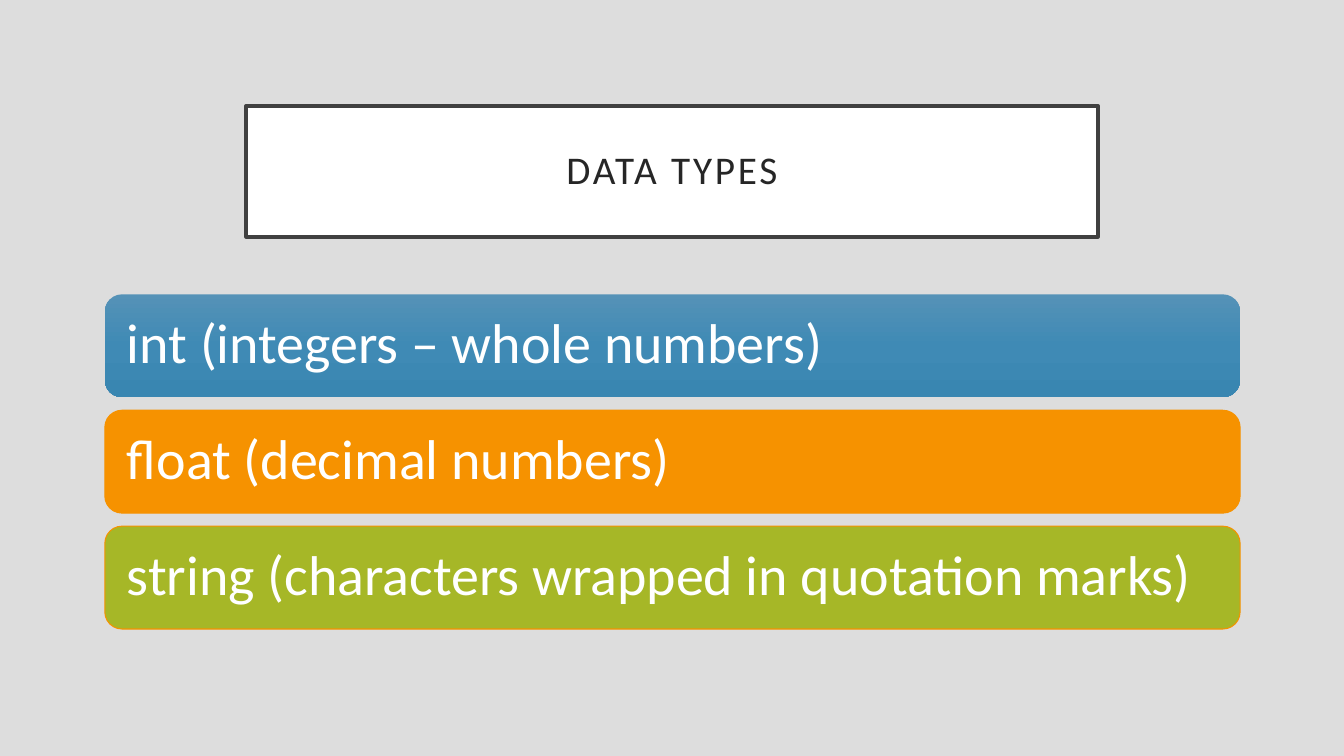
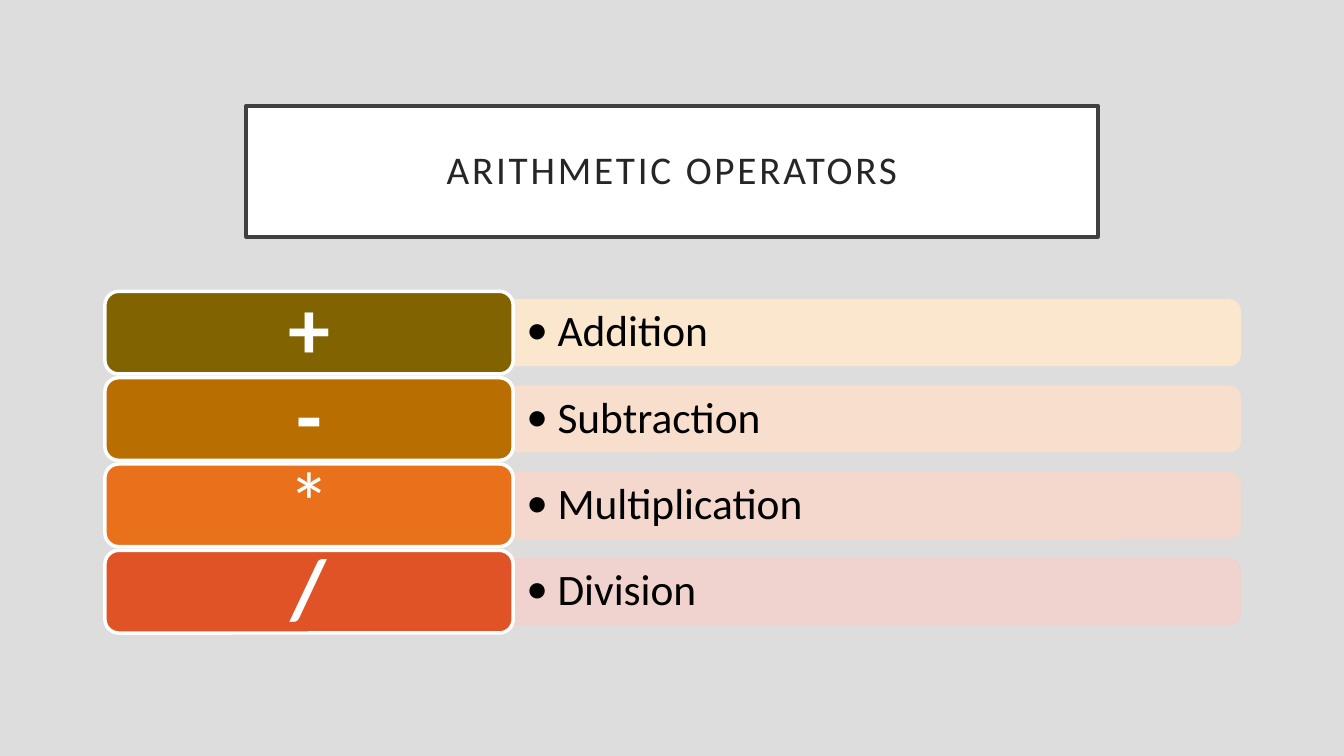
"""Build two slides on data types and arithmetic operators."""
from copy import deepcopy

from lxml.etree import SubElement
from pptx import Presentation
from pptx.dml.color import RGBColor
from pptx.enum.shapes import MSO_SHAPE
from pptx.enum.text import MSO_ANCHOR, PP_ALIGN
from pptx.oxml.ns import qn
from pptx.util import Inches, Pt

COLORS = {
    "background": "DDDDDD", "white": "FFFFFF", "black": "000000",
    "border": "404040", "title": "262626", "orange": "F69200", "green": "A6B727",
}
BLUES = [(0, "5592B7"), (0.5, "3F8AB5"), (1, "3986B1")]
TYPES = [
    ("int (integers – whole numbers)", None),
    ("float (decimal numbers)", "orange"),
    ("string (characters wrapped in quotation marks)", "green"),
]
OPERATORS = [
    ("+", "Addition", "816301", "FFE9CC", True),
    ("-", "Subtraction", "B86E00", "FBE0CC", True),
    ("*", "Multiplication", "E9711C", "F7D7CC", False),
    ("/", "Division", "DF5327", "F3D1CD", True),
]
LEFT, WIDTH = 1.04, 11.26


def add_box(s, kind, at, fill=None, line=None, weight=1):
    sp = s.shapes.add_shape(kind, *[Inches(v) for v in at])
    sp.shadow.inherit = False
    if fill:
        sp.fill.solid()
        sp.fill.fore_color.rgb = RGBColor.from_string(fill)
    if line:
        sp.line.color.rgb = RGBColor.from_string(line)
        sp.line.width = Pt(weight)
    else:
        sp.line.fill.background()
    return sp


def put_text(sp, text, size, color, insets, align=PP_ALIGN.LEFT, bold=False):
    tf = sp.text_frame
    x, y = [Inches(v) for v in insets]
    frame = {"word_wrap": True, "vertical_anchor": MSO_ANCHOR.MIDDLE, "margin_left": x,
             "margin_right": x, "margin_top": y, "margin_bottom": y}
    for name, value in frame.items():
        setattr(tf, name, value)
    p = tf.paragraphs[0]
    p.alignment, p.line_spacing = align, 0.9
    r = p.add_run()
    r.text = text
    for name, value in {"name": "Calibri", "size": Pt(size), "bold": bold}.items():
        setattr(r.font, name, value)
    r.font.color.rgb = RGBColor.from_string(COLORS[color])
    return p


prs = Presentation()
prs.slide_width, prs.slide_height = Inches(13.33), Inches(7.5)
bg = prs.slide_master.background.fill
bg.solid()
bg.fore_color.rgb = RGBColor.from_string(COLORS["background"])

slides = []
for title in ("DATA TYPES", "ARITHMETIC OPERATORS"):
    s = prs.slides.add_slide(prs.slide_layouts[6])
    sp = add_box(s, MSO_SHAPE.RECTANGLE, (2.44, 1.05, 8.45, 1.3),
                 COLORS["white"], COLORS["border"], 2.5)
    p = put_text(sp, title, 28, "title", (0.2, 0.2), PP_ALIGN.CENTER)
    p.runs[0].font._element.set("spc", "200")
    slides.append(s)
types_slide, operators_slide = slides

for i, (text, color) in enumerate(TYPES):
    at = (LEFT, 2.92 + 1.15 * i, WIDTH, 1.02)
    if color:
        sp = add_box(types_slide, MSO_SHAPE.ROUNDED_RECTANGLE, at,
                     COLORS[color], COLORS["orange"], 0.75)
    else:
        sp = add_box(types_slide, MSO_SHAPE.ROUNDED_RECTANGLE, at)
        sp.fill.gradient()
        sp.fill.gradient_angle = 270
        stops = sp._element.spPr.find(".//" + qn("a:gsLst"))
        stops.insert(1, deepcopy(stops[0]))
        for stop, (position, blue) in zip(sp.fill.gradient_stops, BLUES):
            stop.position = position
            stop.color.rgb = RGBColor.from_string(blue)
    put_text(sp, text, 40, "white", (0.17, 0.17))

KEY_W, KEY_H, BAR_H, LABEL_H = 4.05, 0.82, 0.65, 0.59
TOP, PITCH = 2.89, 2.57 / 3
BAR_LEFT, BAR_W = LEFT + KEY_W, WIDTH - KEY_W

for i, (symbol, name, dark, pale, bold) in enumerate(OPERATORS):
    top = TOP + PITCH * i
    middle = top + KEY_H / 2
    bar = add_box(operators_slide, MSO_SHAPE.ROUND_2_SAME_RECTANGLE,
                  (BAR_LEFT + (BAR_W - BAR_H) / 2, middle - BAR_W / 2, BAR_H, BAR_W),
                  pale, pale)
    bar.rotation = 90
    for clr in bar._element.spPr.iter(qn("a:srgbClr")):
        SubElement(clr, qn("a:alpha"), val="90000")

    label = operators_slide.shapes.add_textbox(
        Inches(BAR_LEFT), Inches(middle - LABEL_H / 2), Inches(7.18), Inches(LABEL_H))
    pPr = put_text(label, name, 31, "black", (0.13, 0.06))._p.get_or_add_pPr()
    pPr.set("marL", str(Inches(0.31)))
    pPr.set("indent", str(Inches(-0.31)))
    SubElement(pPr, qn("a:buFont"), typeface="Calibri")
    SubElement(pPr, qn("a:buChar"), char="•")

    key = add_box(operators_slide, MSO_SHAPE.ROUNDED_RECTANGLE, (LEFT, top, KEY_W, KEY_H),
                  dark, COLORS["white"], 2.5)
    put_text(key, symbol, 60, "white", (0.25, 0.12), PP_ALIGN.CENTER, bold)

prs.save("out.pptx")
